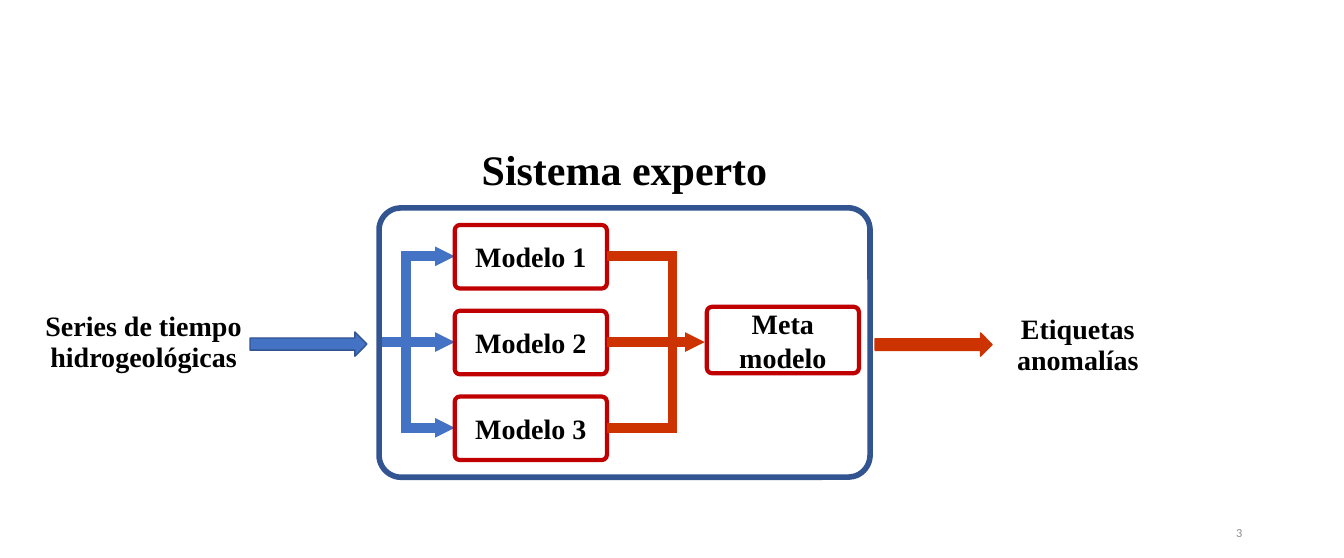
from pptx import Presentation
from pptx.dml.color import RGBColor
from pptx.enum.shapes import MSO_CONNECTOR as Connector, MSO_SHAPE as Shape
from pptx.enum.text import MSO_ANCHOR as Anchor, PP_ALIGN as Align
from pptx.oxml.ns import qn
from pptx.util import Inches, Pt
from lxml import etree

BLUE, DARK_BLUE = "4472C4", "325491"
ORANGE, RED = "CC3300", "C00000"
BLACK, GREY = "000000", "8C8C8C"
SERIF = "Times New Roman"
MODELS = ["Modelo 1", "Modelo 2", "Modelo 3"]
MODEL_PITCH = 0.85


def color(value):
    return RGBColor.from_string(value)


def write(shape, lines, size=20, font=SERIF, fill=BLACK, bold=True,
          align=Align.CENTER, anchor=Anchor.MIDDLE, spacing=None):
    frame = shape.text_frame
    frame.word_wrap = True
    frame.vertical_anchor = anchor
    frame.text = "\n".join(lines)
    for paragraph in frame.paragraphs:
        paragraph.alignment = align
        if spacing:
            paragraph.line_spacing = spacing
        for run in paragraph.runs:
            run.font.size = Pt(size)
            run.font.name = font
            run.font.bold = bold
            run.font.color.rgb = color(fill)


def add_outline(slide, kind, left, top, width, height, line, weight, fill=None):
    shape = slide.shapes.add_shape(
        kind, Inches(left), Inches(top), Inches(width), Inches(height))
    shape.shadow.inherit = False
    if fill:
        shape.fill.solid()
        shape.fill.fore_color.rgb = color(fill)
    else:
        shape.fill.background()
    shape.line.color.rgb = color(line)
    shape.line.width = Pt(weight)
    if kind == Shape.ROUNDED_RECTANGLE:
        shape.adjustments[0] = 0.082
    return shape


def add_model(slide, name, left, top, width=1.51, height=0.63):
    box = add_outline(slide, Shape.ROUNDED_RECTANGLE, left, top, width, height, RED, 3)
    write(box, [name])


def add_flow(slide, x1, y1, x2, y2, line, arrow=False):
    flow = slide.shapes.add_connector(
        Connector.STRAIGHT, Inches(x1), Inches(y1), Inches(x2), Inches(y2))
    flow.line.color.rgb = color(line)
    flow.line.width = Pt(7)
    if arrow:
        etree.SubElement(flow.line._get_or_add_ln(), qn("a:tailEnd"),
                         type="triangle", w="sm", len="sm")
    etree.SubElement(flow._element.spPr, qn("a:effectLst"))


def add_label(slide, lines, left, top, width, height, **style):
    label = slide.shapes.add_textbox(
        Inches(left), Inches(top), Inches(width), Inches(height))
    write(label, lines, **style)


def add_title(slide, left, top, width, height):
    title = slide.shapes.title
    title.left, title.top = Inches(left), Inches(top)
    title.width, title.height = Inches(width), Inches(height)
    write(title, ["Sistema experto"], size=30, anchor=Anchor.TOP)


def add_expert_system(slide, left, top, width, height):
    model_left, model_right = left + 0.75, left + 2.26
    split, merge = left + 0.27, left + 2.91
    first, middle, last = [top + 0.48 + i * MODEL_PITCH for i in range(3)]

    # Input branches, models and output branches
    for name, center in zip(MODELS, (first, middle, last)):
        is_middle = center == middle
        add_flow(slide, left if is_middle else split, center,
                 model_left, center, BLUE, arrow=True)
        add_model(slide, name, model_left, center - 0.31)
        add_flow(slide, model_right, center, left + 3.23 if is_middle else merge,
                 center, ORANGE, arrow=is_middle)

    # Vertical trunks, long enough to close the corners
    for x, line in ((split, BLUE), (merge, ORANGE)):
        add_flow(slide, x, first - 0.05, x, last + 0.05, line)

    # Meta model and frame
    add_model(slide, "Meta modelo", left + 3.25, top + 0.98, height=0.66)
    add_outline(slide, Shape.ROUNDED_RECTANGLE, left, top, width, height, DARK_BLUE, 4)


def add_input(slide, left, top):
    add_label(slide, ["Series de tiempo", "hidrogeológicas"], left, top, 2.43, 0.72,
              anchor=Anchor.TOP, spacing=Pt(22))
    add_outline(slide, Shape.RIGHT_ARROW, left + 2.27, top + 0.25, 1.16, 0.24,
                DARK_BLUE, 1, fill=BLUE)


def add_output(slide, left, top):
    add_outline(slide, Shape.RIGHT_ARROW, left, top + 0.23, 1.16, 0.23,
                ORANGE, 1, fill=ORANGE)
    add_label(slide, ["Etiquetas anomalías"], left + 1.22, top, 1.58, 0.72,
              anchor=Anchor.TOP, spacing=Pt(22))


def main():
    presentation = Presentation()
    presentation.slide_width = Inches(13.33)
    presentation.slide_height = Inches(5.53)
    slide = presentation.slides.add_slide(presentation.slide_layouts[5])

    add_title(slide, 3.76, 1.37, 4.87, 0.61)
    add_input(slide, 0.21, 3.04)
    add_expert_system(slide, 3.76, 2.06, 4.87, 2.67)
    add_output(slide, 8.68, 3.07)

    # Slide number
    add_label(slide, ["3"], 9.42, 5.13, 3, 0.29, size=8.8, font="Calibri",
              fill=GREY, bold=False, align=Align.RIGHT)
    presentation.save("out.pptx")


if __name__ == "__main__":
    main()
